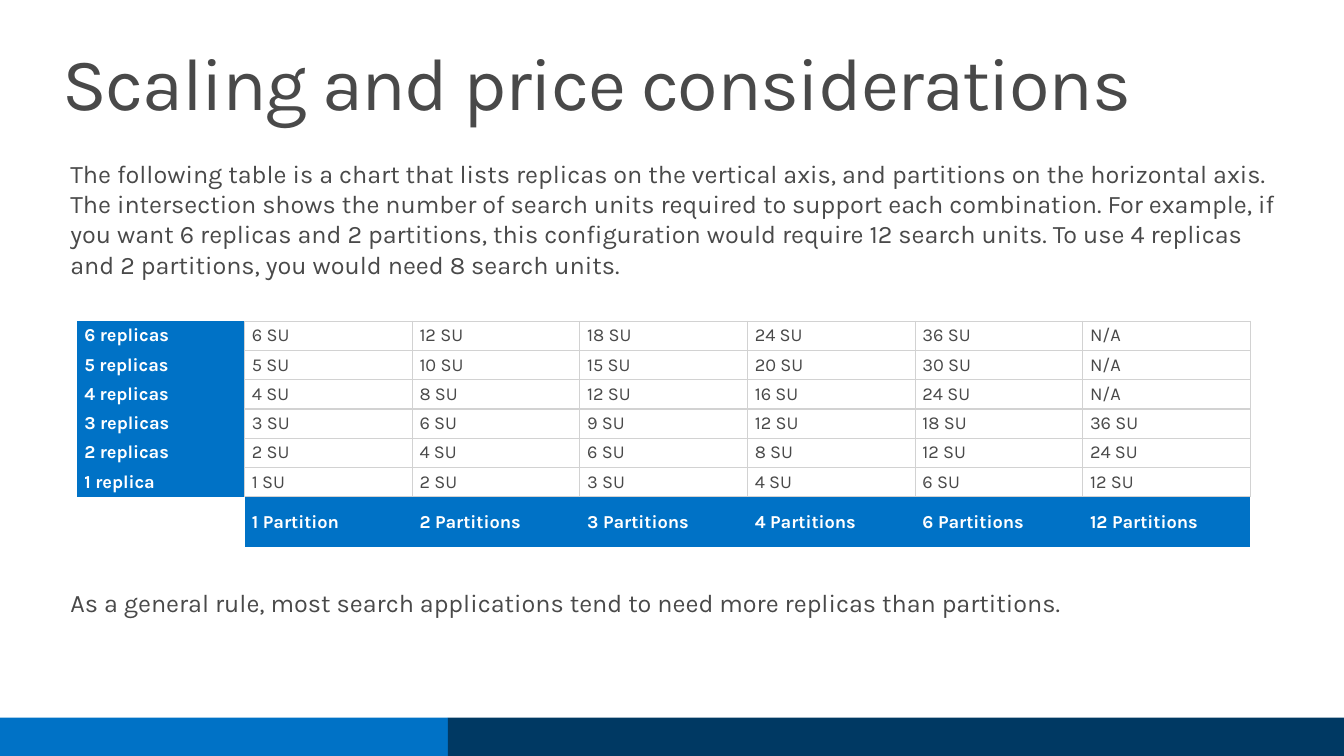
from lxml import etree
from pptx import Presentation
from pptx.dml.color import RGBColor
from pptx.enum import shapes, text
from pptx.oxml.ns import qn
from pptx.util import Pt

# Content
TITLE = "Scaling and price considerations"
INTRO = (
    "The following table is a chart that lists replicas on the vertical axis, "
    "and partitions on the horizontal axis. The intersection shows the number "
    "of search units required to support each combination. For example, if you "
    "want 6 replicas and 2 partitions, this configuration would require 12 "
    "search units. To use 4 replicas and 2 partitions, you would need 8 search "
    "units."
)
RULE = ("As a general rule, most search applications tend to need more "
        "replicas than partitions.")
REPLICAS = [6, 5, 4, 3, 2, 1]
PARTS = [1, 2, 3, 4, 6, 12]
LIMIT = 36  # most search units on offer

FONT = "Karla"
BLUE, NAVY, GREY, WHITE, EDGE = "0072C6", "003963", "494949", "FFFFFF", "D2D2D2"
WIDTH, HEIGHT = 960, 540
NOTES = [(INTRO, 109.4, 875, 94.3), (RULE, 416.2, 785.5, 28.8)]
BARS = [(0, 320, BLUE), (320, 640, NAVY)]
BAR_TOP = 512.6
COL, ROW, FOOT = 119.75, 20.88, 36.4


def color(hex):
    return RGBColor.from_string(hex)


def style(para, size, hex, bold=False):
    font = para.font
    font.name, font.size, font.bold = FONT, Pt(size), bold
    font.color.rgb = color(hex)


def border(cell, sides):
    props = cell._tc.get_or_add_tcPr()
    for side in "LRTB":
        line = etree.SubElement(props, qn("a:ln" + side), w=str(Pt(1)))
        if side in sides:
            fill = etree.SubElement(line, qn("a:solidFill"))
            etree.SubElement(fill, qn("a:srgbClr"), val=EDGE)
        else:
            etree.SubElement(line, qn("a:noFill"))


def plural(count, noun):
    return f"{count} {noun}" + ("s" if count > 1 else "")


def units(reps, parts):
    need = reps * parts
    return f"{need} SU" if need <= LIMIT else "N/A"


def put(cell, words, sides, head):
    border(cell, sides)
    cell.margin_left = cell.margin_right = Pt(5.2)
    cell.margin_top = cell.margin_bottom = Pt(2.6)
    cell.vertical_anchor = text.MSO_ANCHOR.MIDDLE
    if head:
        cell.fill.solid()
        cell.fill.fore_color.rgb = color(BLUE)
    else:
        cell.fill.background()
    cell.text = words
    style(cell.text_frame.paragraphs[0], 13, WHITE if head else GREY, head)


deck = Presentation()
deck.slide_width, deck.slide_height = Pt(WIDTH), Pt(HEIGHT)
slide = deck.slides.add_slide(deck.slide_layouts[5])

# Title
title = slide.shapes.title
title.left, title.top, title.width, title.height = map(Pt, (33.1, 25.9, 878.4, 40.3))
frame = title.text_frame
frame.text = TITLE
frame.word_wrap = True
frame.auto_size = text.MSO_AUTO_SIZE.NONE
frame.vertical_anchor = text.MSO_ANCHOR.TOP
frame.margin_left = frame.margin_right = Pt(11.5)
frame.margin_top = frame.margin_bottom = Pt(7.2)
para = frame.paragraphs[0]
para.alignment = text.PP_ALIGN.LEFT
para.line_spacing = 0.9
style(para, 52.9, GREY)
para.runs[0]._r.get_or_add_rPr().set("spc", "-100")

# Footer bars
for left, wide, hex in BARS:
    bar = slide.shapes.add_shape(shapes.MSO_SHAPE.RECTANGLE, Pt(left), Pt(BAR_TOP),
                                 Pt(wide), Pt(HEIGHT - BAR_TOP))
    bar.shadow.inherit = False
    bar.fill.solid()
    bar.fill.fore_color.rgb = color(hex)
    bar.line.fill.background()

# Table of search units
rows, cols = len(REPLICAS) + 1, len(PARTS) + 1
table = slide.shapes.add_table(rows, cols, Pt(55), Pt(229.5), Pt(COL * cols),
                               Pt(ROW * len(REPLICAS) + FOOT)).table
table.first_row = table.horz_banding = False
for col in table.columns:
    col.width = Pt(COL)
for row in table.rows:
    row.height = Pt(ROW)
table.rows[rows - 1].height = Pt(FOOT)

for r, reps in enumerate(REPLICAS):
    put(table.cell(r, 0), plural(reps, "replica"), "R", True)
    for c, parts in enumerate(PARTS, 1):
        put(table.cell(r, c), units(reps, parts), "LRTB", False)
put(table.cell(rows - 1, 0), "", "", False)
for c, parts in enumerate(PARTS, 1):
    put(table.cell(rows - 1, c), plural(parts, "Partition"), "T", True)

# Text above and below the table
for words, top, wide, high in NOTES:
    box = slide.shapes.add_textbox(Pt(43.2), Pt(top), Pt(wide), Pt(high))
    frame = box.text_frame
    frame.word_wrap = True
    frame.text = words
    style(frame.paragraphs[0], 18, GREY)

deck.save("out.pptx")
